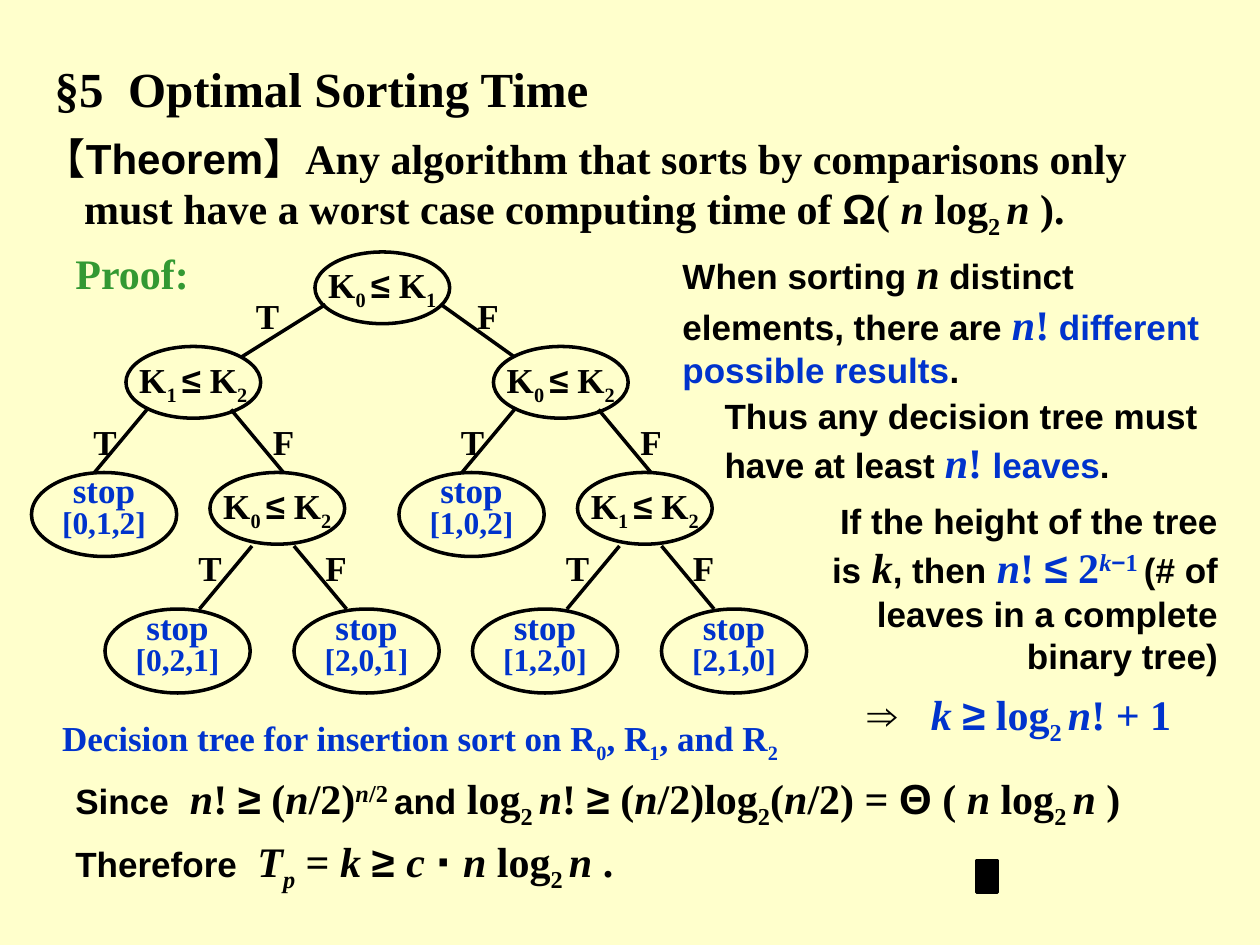
from lxml import etree
from pptx import Presentation
from pptx.dml.color import RGBColor
from pptx.enum.shapes import MSO_CONNECTOR, MSO_SHAPE
from pptx.enum.text import MSO_ANCHOR, MSO_AUTO_SIZE, PP_ALIGN
from pptx.oxml.ns import qn
from pptx.util import Pt

BLACK = RGBColor(0x00, 0x00, 0x00)
BLUE = RGBColor(0x00, 0x33, 0xCC)
GREEN = RGBColor(0x33, 0x99, 0x33)
CREAM = RGBColor(0xFF, 0xFF, 0xCC)
SERIF, SANS = "Times New Roman", "Arial"
LEFT, CENTER, RIGHT = PP_ALIGN.LEFT, PP_ALIGN.CENTER, PP_ALIGN.RIGHT
TOP, MIDDLE = MSO_ANCHOR.TOP, MSO_ANCHOR.MIDDLE
NO_AUTOFIT = MSO_AUTO_SIZE.NONE
OVAL, RECTANGLE = MSO_SHAPE.OVAL, MSO_SHAPE.RECTANGLE
STRAIGHT = MSO_CONNECTOR.STRAIGHT

PROSE_SIZE = 20
LINE_WIDTH = 2
DECISION_SIZE = (77, 41)
LEAF_SIZE = (83, 48)
MARKS = "*_^~`|"


def split_marks(text):
    """Yield (piece, active marks); each mark switches its format on or off."""
    active, piece = set(), ""
    for character in text:
        if character in MARKS:
            if piece:
                yield piece, frozenset(active)
            active ^= {character}
            piece = ""
        else:
            piece += character
    if piece:
        yield piece, frozenset(active)


def write_runs(paragraph, text, size=24, color=BLACK):
    """Marks: *italic* _subscript_ ^superscript^ ~sans prose~ `sans symbol` |blue|."""
    for piece, marks in split_marks(text):
        run = paragraph.add_run()
        run.text = piece
        font = run.font
        font.bold = True
        font.italic = "*" in marks
        font.name = SANS if marks & {"~", "`"} else SERIF
        font.size = Pt(PROSE_SIZE if "~" in marks else size)
        font.color.rgb = BLUE if "|" in marks else color
        if "_" in marks:
            font._element.set("baseline", "-25000")
        elif "^" in marks:
            font._element.set("baseline", "30000")


def format_frame(frame, insets=(7.2, 3.6, 7.2, 3.6), anchor=TOP, wrap=True):
    frame.auto_size = NO_AUTOFIT
    frame.word_wrap = wrap
    frame.vertical_anchor = anchor
    (frame.margin_left, frame.margin_top,
     frame.margin_right, frame.margin_bottom) = map(Pt, insets)


def set_tab(paragraph, position):
    properties = paragraph._p.get_or_add_pPr()
    tab_list = etree.SubElement(properties, qn("a:tabLst"))
    etree.SubElement(tab_list, qn("a:tab"), pos=str(int(Pt(position))), algn="l")


def add_text(slide, box, text, align=LEFT, tab=None, hanging=0,
             size=24, color=BLACK, **frame_format):
    shape = slide.shapes.add_textbox(*map(Pt, box))
    format_frame(shape.text_frame, **frame_format)
    paragraph = shape.text_frame.paragraphs[0]
    paragraph.alignment = align
    if hanging:
        properties = paragraph._p.get_or_add_pPr()
        properties.set("marL", str(int(Pt(hanging))))
        properties.set("indent", str(int(Pt(-hanging))))
    if tab:
        set_tab(paragraph, tab)
    write_runs(paragraph, text, size, color)


def add_outline(slide, kind, box):
    shape = slide.shapes.add_shape(kind, *map(Pt, box))
    shape.shadow.inherit = False
    shape.fill.background()
    shape.line.color.rgb = BLACK
    shape.line.width = Pt(LINE_WIDTH)
    return shape


def add_decision(slide, left, top, first, second):
    frame = add_outline(slide, OVAL, (left, top, *DECISION_SIZE)).text_frame
    format_frame(frame, anchor=MIDDLE, wrap=False)
    frame.paragraphs[0].alignment = CENTER
    write_runs(frame.paragraphs[0], f"K_{first} _`≤` K_{second}_", PROSE_SIZE)


def add_leaf(slide, left, top, order):
    frame = add_outline(slide, OVAL, (left, top, *LEAF_SIZE)).text_frame
    format_frame(frame, insets=(7.2, 0, 7.2, 6.5), anchor=MIDDLE, wrap=False)
    for index, (text, size) in enumerate([("stop", 20), (f"[{order}]", 18)]):
        paragraph = frame.add_paragraph() if index else frame.paragraphs[0]
        paragraph.alignment = CENTER
        paragraph.line_spacing = 0.8
        write_runs(paragraph, text, size, BLUE)


def add_branch(slide, start, end, label, label_box):
    ends = map(Pt, (*start, *end))
    connector = slide.shapes.add_connector(STRAIGHT, *ends)
    connector.line.color.rgb = BLACK
    connector.line.width = Pt(LINE_WIDTH)
    etree.SubElement(connector._element.spPr, qn("a:effectLst"))
    add_text(slide, label_box, label, align=CENTER, size=PROSE_SIZE,
             anchor=MIDDLE, wrap=False)


def add_fork(slide, left, top, starts, ends, drop, labels, label_top, label_width=24):
    """Draw the T and F branches below a node; across positions count from left."""
    for label, start, end, label_left in zip("TF", starts, ends, labels):
        add_branch(slide, (left + start, top), (left + end, top + drop), label,
                   (left + label_left, label_top, label_width, 24))


def add_subtree(slide, left, top, upper, lower, orders):
    """Place a decision, its stop leaf, and a second decision with two leaves."""
    near, low_left, low_right = orders
    child, child_top = left + 48, top + 72
    leaf_top = child_top + 78
    add_decision(slide, left, top, *upper)
    add_decision(slide, child, child_top, *lower)
    add_leaf(slide, left - 54, child_top, near)
    add_leaf(slide, child - 60, leaf_top, low_left)
    add_leaf(slide, child + 48, leaf_top, low_right)
    add_fork(slide, left, top + 36, (12, 60), (-18, 90), 36, (-24, 78), top + 42)
    add_fork(slide, child, child_top + 42, (24, 48), (-6, 78), 36, (-12, 60),
             child_top + 42)


def add_decision_tree(slide, left, top):
    root = left + 162
    add_decision(slide, root, top, 0, 1)
    add_subtree(slide, left + 54, top + 54, (1, 2), (0, 2),
                ("0,1,2", "0,2,1", "2,0,1"))
    add_subtree(slide, left + 264, top + 54, (0, 2), (1, 2),
                ("1,0,2", "1,2,0", "2,1,0"))
    add_fork(slide, root, top + 30, (6, 72), (-42, 114), 30, (-42, 84),
             top + 24, label_width=30)
    add_text(slide, (left + 6, top + 258, 432, 42),
             "Decision tree for insertion sort on R_0_, R_1_, and R_2_",
             align=CENTER, size=PROSE_SIZE, color=BLUE, anchor=MIDDLE, wrap=False)


def add_heading(slide, left, top):
    title = slide.shapes.title
    title.left, title.top, title.width, title.height = map(Pt, (left + 6, top, 624, 41))
    format_frame(title.text_frame)
    paragraph = title.text_frame.paragraphs[0]
    paragraph.alignment = LEFT
    set_tab(paragraph, 42)
    write_runs(paragraph, "§5\tOptimal Sorting Time", 28)
    add_text(slide, (left, top + 42, 660, 69),
             "`【Theorem】`Any algorithm that sorts by comparisons only must have "
             "a worst case computing time of `Ω`( *n* log_2 _*n* ).", hanging=23)


def add_argument(slide, left, top):
    flush = (0, 3.6, 0, 3.6)
    add_text(slide, (left, top, 306, 89),
             "~When sorting ~*n*~ distinct elements, there are ~"
             "|*n*!~ different possible results~|~.~", insets=flush)
    add_text(slide, (left + 24, top + 84, 276, 60),
             "~Thus any decision tree must have at least ~|*n*! ~leaves~|~.~",
             insets=flush)
    add_text(slide, (left + 72, top + 144, 234, 108),
             "~If the height of the tree is~ *k*~, then~ |*n*! `≤` 2^*k*`−`1 ^|"
             "~(# of leaves in a complete binary tree)~", align=RIGHT, insets=flush)
    add_text(slide, (left + 106, top + 252, 200, 40),
             "`⇒`\t|*k *`≥` log_2 _*n*! + 1|", tab=36, insets=flush)


def add_conclusion(slide, left, top):
    add_text(slide, (left, top, 654, 40),
             "~Since~\t*n*! `≥` (*n*/2)^*n*/2 ^~and~ log_2 _*n*! `≥` "
             "(*n*/2)log_2_(*n*/2) = `Θ` ( *n* log_2 _*n* )", tab=65.5)
    add_text(slide, (left, top + 36, 654, 40),
             "~Therefore~\t*T_p_* = *k *`≥ `*c *`⋅ `*n* log_2 _*n* .", tab=104)
    end_mark = add_outline(slide, RECTANGLE, (left + 522, top + 54, 12, 18))
    end_mark.fill.solid()
    end_mark.fill.fore_color.rgb = BLACK


def main():
    presentation = Presentation()
    presentation.slide_width, presentation.slide_height = Pt(720), Pt(540)
    slide = presentation.slides.add_slide(presentation.slide_layouts[5])
    slide.background.fill.solid()
    slide.background.fill.fore_color.rgb = CREAM
    add_heading(slide, 18, 30)
    add_text(slide, (36, 138, 84, 36), "Proof:", color=GREEN)
    add_decision_tree(slide, 18, 144)
    add_argument(slide, 390, 138)
    add_conclusion(slide, 36, 438)
    presentation.save("out.pptx")


if __name__ == "__main__":
    main()
